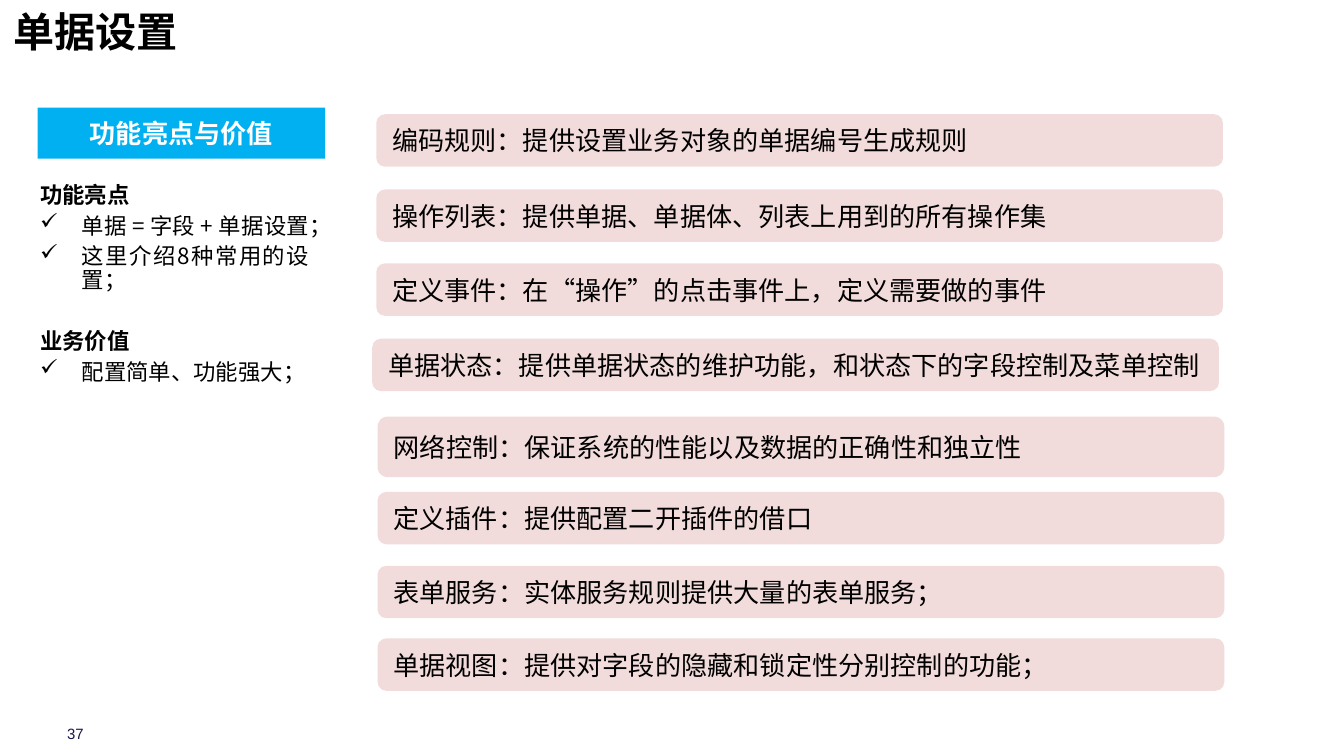
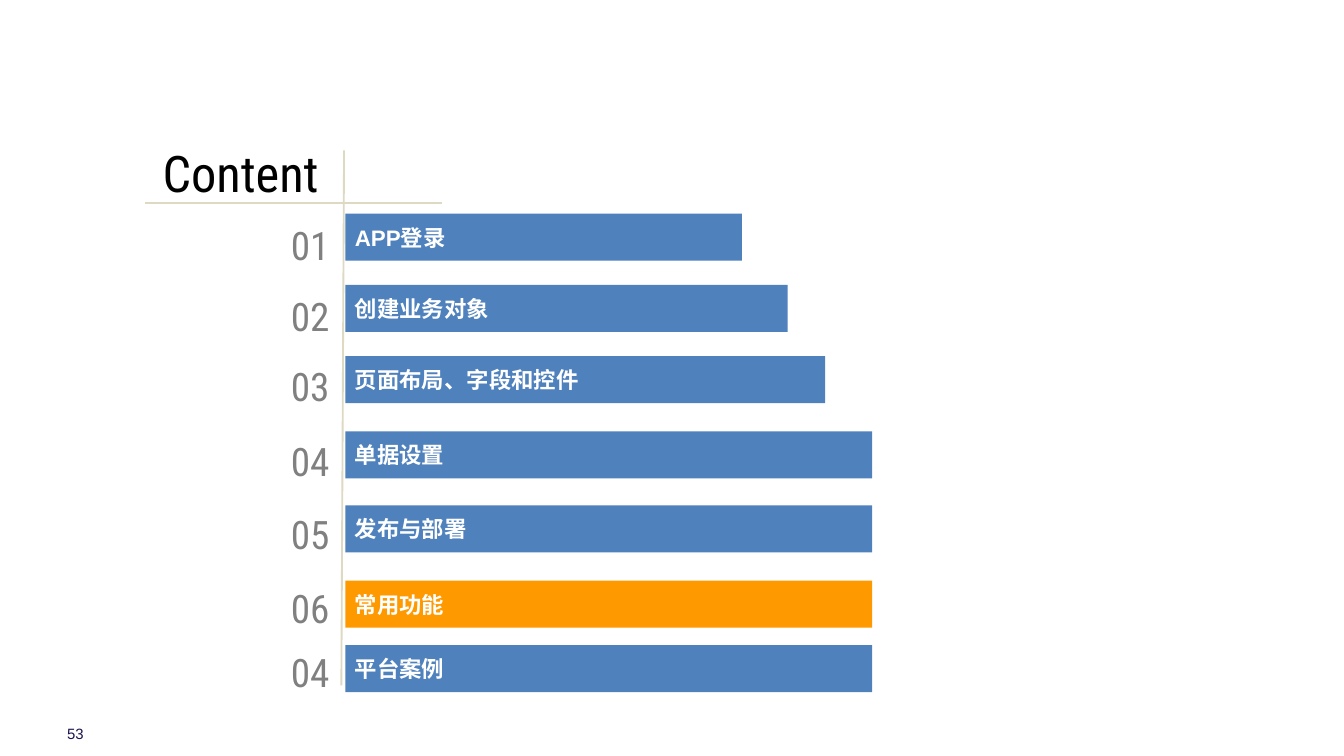
import pptx
import pptx.util
import pptx.dml.color
import pptx.enum.shapes
import pptx.enum.text
import pptx.oxml.ns
import lxml.etree

Pt = pptx.util.Pt
RGB = pptx.dml.color.RGBColor
Kind = pptx.enum.shapes.MSO_SHAPE
Side = pptx.enum.text.PP_ALIGN
Hold = pptx.enum.text.MSO_ANCHOR
qn = pptx.oxml.ns.qn

BLACK = RGB(0, 0, 0)
WHITE = RGB(255, 255, 255)
NAVY = RGB(0x1A, 0x15, 0x4C)
CYAN = RGB(0x00, 0xB0, 0xF0)
PINK = RGB(0xF2, 0xDC, 0xDB)
BLUE = RGB(0x4F, 0x81, 0xBD)
AMBER = RGB(0xFF, 0x99, 0x00)
SAND = RGB(0xDD, 0xD9, 0xC3)
GRAY = RGB(0x80, 0x80, 0x80)
HAN = "Noto Sans CJK SC"
SLIM = "Roboto Condensed"

CELL = pptx.util.Inches(0.1)
COLS, ROWS = 100, 56.25


def grid(*cells):
    return [round(cell * CELL) for cell in cells]


class Deck:
    def __init__(self):
        self.show = pptx.Presentation()
        self.show.slide_width, self.show.slide_height = grid(COLS, ROWS)

    def start(self, title, box, size, face, page, bold=False):
        self.slide = self.show.slides.add_slide(self.show.slide_layouts[5])
        head = self.slide.shapes.title
        head.left, head.top, head.width, head.height = grid(*box)
        para = self.frame(head, title, Hold.TOP)
        self.font(para, size, face, BLACK, bold)
        self.text(page, (5, 53.9, 2.5, 1.4), 8, "Arial", NAVY,
                  hold=Hold.MIDDLE, pad=(0, 0))

    def frame(self, shape, text, hold, pad=(1, 0.5), side=Side.LEFT):
        frame = shape.text_frame
        frame.word_wrap = True
        frame.auto_size = pptx.enum.text.MSO_AUTO_SIZE.NONE
        frame.vertical_anchor = hold
        frame.margin_left, frame.margin_top = grid(*pad)
        frame.margin_right, frame.margin_bottom = grid(*pad)
        para = frame.paragraphs[0]
        para.text = text
        para.alignment = side
        return para

    def font(self, para, size, face, color, bold=False):
        font = para.font
        font.size, font.name, font.bold = Pt(size), face, bold
        font.color.rgb = color
        base = para._p.get_or_add_pPr().find(qn("a:defRPr"))
        lxml.etree.SubElement(base, qn("a:ea"), typeface=HAN)

    def text(self, text, box, size, face, color, hold=Hold.TOP,
             pad=(1, 0.5), side=Side.LEFT, lead=1):
        shape = self.slide.shapes.add_textbox(*grid(*box))
        para = self.frame(shape, text, hold, pad, side)
        para.line_spacing = lead
        self.font(para, size, face, color)

    def bar(self, text, box, fill, size, face, color, kind=Kind.RECTANGLE,
            pad=(1, 0.5), side=Side.LEFT, bold=False):
        shape = self.slide.shapes.add_shape(kind, *grid(*box))
        shape.shadow.inherit = False
        shape.fill.solid()
        shape.fill.fore_color.rgb = fill
        shape.line.fill.background()
        para = self.frame(shape, text, Hold.MIDDLE, pad, side)
        self.font(para, size, face, color, bold)

    def list(self, groups, box, size):
        shape = self.slide.shapes.add_textbox(*grid(*box))
        para = self.frame(shape, "", Hold.TOP)
        frame = shape.text_frame
        for order, (head, items) in enumerate(groups):
            if order:
                para = frame.add_paragraph()
                para.space_before = Pt(16)
            self.item(para, head, size, True)
            for item in items:
                para = frame.add_paragraph()
                para.alignment = Side.JUSTIFY
                self.item(para, item, size, False)

    def item(self, para, text, size, head):
        para.text = text
        para.line_spacing = 0.9
        para.space_after = Pt(3.5)
        if not head:
            prop = para._p.get_or_add_pPr()
            dent = grid(3.1)[0]
            prop.set("marL", str(dent))
            prop.set("indent", str(-dent))
            lxml.etree.SubElement(prop, qn("a:buChar"), char="✓")
        self.font(para, size, HAN, BLACK, head)

    def line(self, *ends):
        rule = self.slide.shapes.add_connector(
            pptx.enum.shapes.MSO_CONNECTOR.STRAIGHT, *grid(*ends))
        rule.line.color.rgb = SAND
        rule.line.width = Pt(1)
        lxml.etree.SubElement(rule._element.spPr, qn("a:effectLst"))


def setup(deck):
    deck.start("单据设置", (0, 0, 73.2, 6.3), 22, HAN, "37", True)
    deck.bar("功能亮点与价值", (2.8, 8, 21.4, 3.8), CYAN, 14, HAN, WHITE,
             side=Side.CENTER, bold=True)
    deck.list([
        ("功能亮点", ["单据 = 字段 + 单据设置；", "这里介绍8种常用的设置；"]),
        ("业务价值", ["配置简单、功能强大；"]),
    ], (2, 13.2, 22, 19.1), 12)
    rules = [
        (28, 8.5, 3.9, "编码规则：提供设置业务对象的单据编号生成规则"),
        (28, 14.1, 3.9, "操作列表：提供单据、单据体、列表上用到的所有操作集"),
        (28, 19.6, 3.9, "定义事件：在“操作”的点击事件上，定义需要做的事件"),
        (27.7, 25.2, 3.9, "单据状态：提供单据状态的维护功能，和状态下的字段控制及菜单控制"),
        (28.1, 31, 4.5, "网络控制：保证系统的性能以及数据的正确性和独立性"),
        (28.1, 36.6, 3.9, "定义插件：提供配置二开插件的借口"),
        (28.1, 42.1, 3.9, "表单服务：实体服务规则提供大量的表单服务；"),
        (28.1, 47.5, 3.9, "单据视图：提供对字段的隐藏和锁定性分别控制的功能；"),
    ]
    for left, top, tall, text in rules:
        deck.bar(text, (left, top, 63, tall), PINK, 14, "Calibri", BLACK,
                 kind=Kind.ROUNDED_RECTANGLE)


def content(deck):
    deck.start("Content", (11.1, 10.1, 20.4, 4.4), 27, SLIM, "53")
    deck.line(25.6, 11.2, 25.4, 51)
    deck.line(10.8, 15.1, 32.9, 15.1)
    parts = [
        ("01", "APP登录", 15.9, 29.5, BLUE),
        ("02", "创建业务对象", 21.2, 32.9, BLUE),
        ("03", "页面布局、字段和控件", 26.5, 35.7, BLUE),
        ("04", "单据设置", 32.1, 39.2, BLUE),
        ("05", "发布与部署", 37.6, 39.2, BLUE),
        ("06", "常用功能", 43.2, 39.2, AMBER),
        ("04", "平台案例", 48, 39.2, BLUE),
    ]
    for step, (mark, text, top, wide, fill) in enumerate(parts):
        deck.text(mark, (19.7, top - 0.6 - 0.06 * step, 5.8, 5.3), 21, SLIM,
                  GRAY, side=Side.RIGHT, lead=1.2)
        deck.bar(text, (25.7, top, wide, 3.5), fill, 12, "Arial", WHITE,
                 pad=(0.7, 0.4), bold=True)


def main():
    deck = Deck()
    setup(deck)
    content(deck)
    deck.show.save("out.pptx")


if __name__ == "__main__":
    main()
